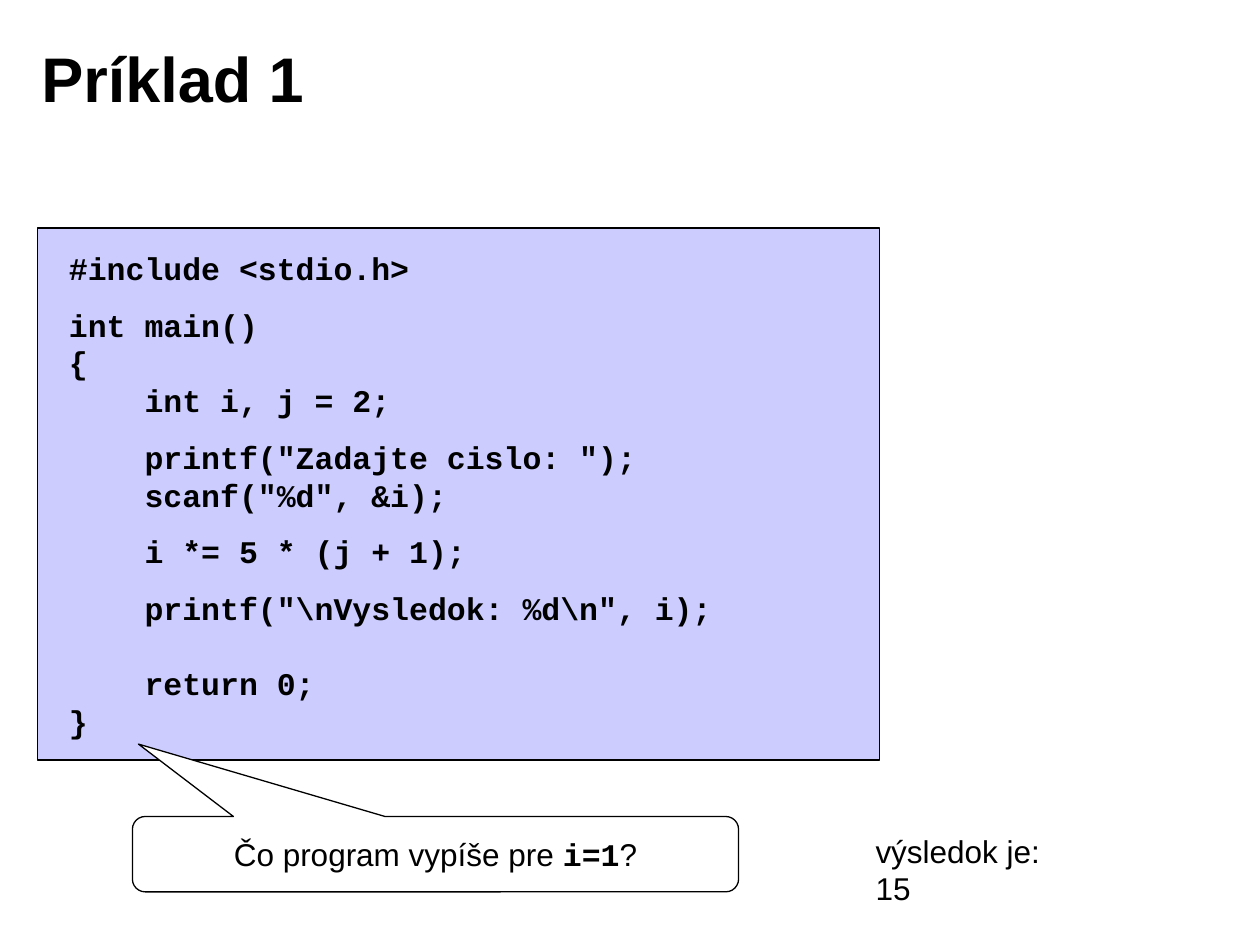
from pptx import Presentation
from pptx import util as u
from pptx.dml.color import RGBColor
from pptx.enum import shapes, text

BLACK = RGBColor(0x00, 0x00, 0x00)
WHITE = RGBColor(0xFF, 0xFF, 0xFF)
LILAC = RGBColor(0xCC, 0xCC, 0xFF)
SANS, MONO = "Arial", "Courier New"
PITCH, GAP = 21.5, 11

# Each block of code lines, with the space in points above it
CODE = [
    (0, ["#include <stdio.h>"]),
    (GAP, ["int main()", "{", "    int i, j = 2;"]),
    (GAP, ['    printf("Zadajte cislo: ");', '    scanf("%d", &i);']),
    (GAP, ["    i *= 5 * (j + 1);"]),
    (GAP, ['    printf("\\nVysledok: %d\\n", i);']),
    (PITCH, ["    return 0;", "}"]),
]


def add_run(para, words, font=SANS, size=18, bold=False):
    run = para.add_run()
    run.text = words
    run.font.name = font
    run.font.size = u.Pt(size)
    run.font.bold = bold
    run.font.color.rgb = BLACK


def add_panel(slide, kind, box, fill):
    panel = slide.shapes.add_shape(kind, *map(u.Cm, box))
    panel.shadow.inherit = False
    panel.fill.solid()
    panel.fill.fore_color.rgb = fill
    panel.line.color.rgb = BLACK
    panel.line.width = u.Pt(0.75)
    return panel


def add_title(slide, box):
    title = slide.shapes.title
    title.left, title.top, title.width, title.height = map(u.Cm, box)
    frame = title.text_frame
    frame.vertical_anchor = text.MSO_ANCHOR.MIDDLE
    para = frame.paragraphs[0]
    para.alignment = text.PP_ALIGN.LEFT
    add_run(para, "Príklad 1", size=36, bold=True)


def add_code(slide, box):
    left, top, width, height = box
    add_panel(slide, shapes.MSO_SHAPE.RECTANGLE, box, LILAC)
    inner = (left + 0.38, top + 0.3, width - 0.94, height - 0.58)
    frame = slide.shapes.add_textbox(*map(u.Cm, inner)).text_frame
    frame.word_wrap = True
    para = None
    for gap, lines in CODE:
        for row, line in enumerate(lines):
            para = frame.add_paragraph() if para else frame.paragraphs[0]
            para.line_spacing = u.Pt(PITCH)
            if gap and row == 0:
                para.space_before = u.Pt(gap)
            add_run(para, line, MONO, bold=True)


def add_query(slide, box):
    """Callout that points at the end of the code."""
    kind = shapes.MSO_SHAPE.ROUNDED_RECTANGULAR_CALLOUT
    query = add_panel(slide, kind, box, WHITE)
    for spot, value in enumerate((-0.49, -1.46, 0.17)):
        query.adjustments[spot] = value
    frame = query.text_frame
    frame.word_wrap = True
    frame.vertical_anchor = text.MSO_ANCHOR.MIDDLE
    para = frame.paragraphs[0]
    para.alignment = text.PP_ALIGN.CENTER
    add_run(para, "Čo program vypíše pre ")
    add_run(para, "i=1", MONO, bold=True)
    add_run(para, "?")


def add_answer(slide, box):
    frame = slide.shapes.add_textbox(*map(u.Cm, box)).text_frame
    frame.word_wrap = False
    add_run(frame.paragraphs[0], "výsledok je: 15")


def main():
    deck = Presentation()
    deck.slide_width, deck.slide_height = u.Cm(25.4), u.Cm(19.05)
    slide = deck.slides.add_slide(deck.slide_layouts.get_by_name("Title Only"))
    add_title(slide, (0.58, 0.38, 20.4, 2.36))
    add_code(slide, (0.76, 4.6, 16.97, 10.72))
    add_query(slide, (2.67, 16.46, 12.22, 1.52))
    add_answer(slide, (17.4, 16.64, 4.65, 0.99))
    deck.save("out.pptx")


if __name__ == "__main__":
    main()
